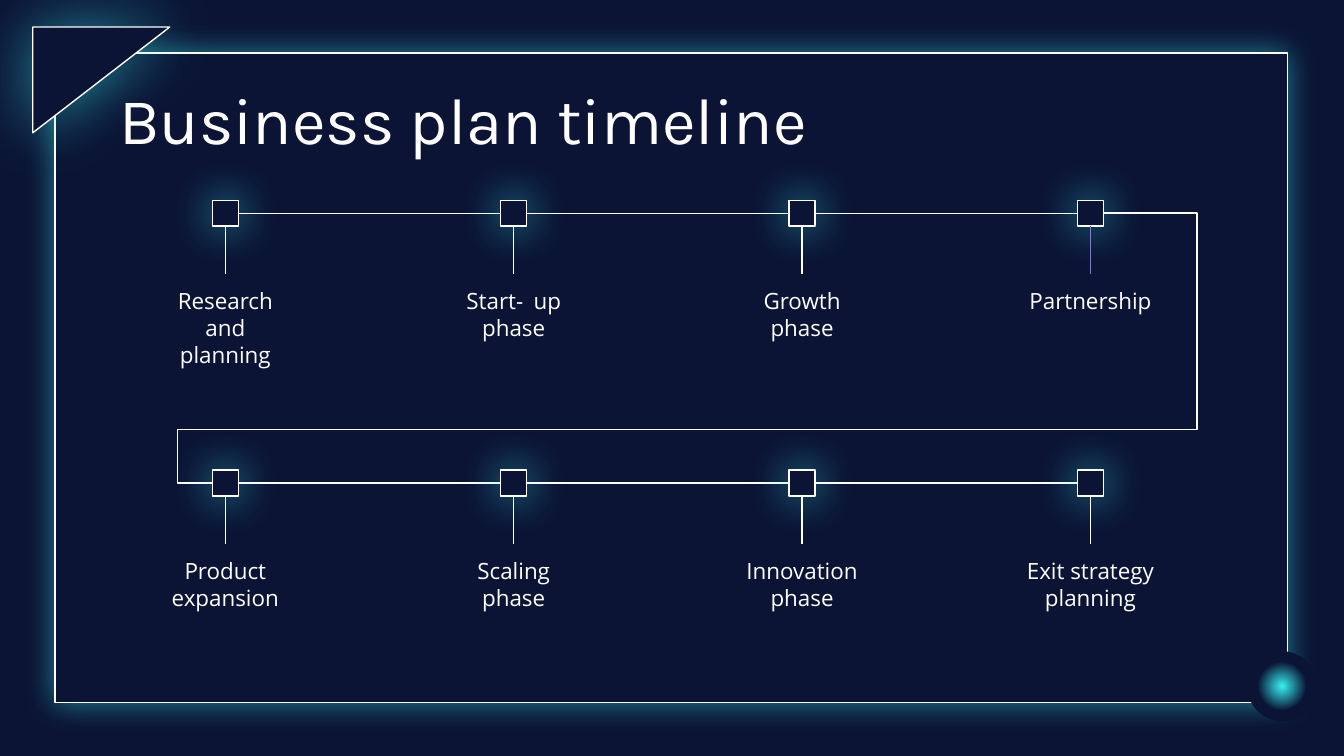
import pptx
import pptx.util
import pptx.dml.color
import pptx.enum.shapes
import pptx.enum.text
import pptx.oxml
import pptx.oxml.ns
from lxml import etree

Cm, Pt = pptx.util.Cm, pptx.util.Pt
RGBColor = pptx.dml.color.RGBColor
SHAPE = pptx.enum.shapes.MSO_SHAPE
CONNECTOR = pptx.enum.shapes.MSO_CONNECTOR
ALIGN = pptx.enum.text.PP_ALIGN
qn = pptx.oxml.ns.qn

NAVY = RGBColor(0x0B, 0x14, 0x35)
CYAN = RGBColor(0x38, 0xF1, 0xF3)
WHITE = RGBColor(0xFF, 0xFF, 0xFF)
LAVENDER = RGBColor(0x7F, 0x7F, 0xC0)

# Timeline grid, in centimetres
FIRST_X, STEP_X = 4.26, 5.45
NODE = 0.49
STEM = 0.9
LABEL_WIDTH, LABEL_HEIGHT = 3, 2.08
ROWS = [
    (4.03, ["Research and planning", "Start-\tup phase", "Growth phase", "Partnership"]),
    (9.13, ["Product expansion", "Scaling phase", "Innovation phase", "Exit strategy planning"]),
]


def add_glowing_shape(page, kind, left, top, width, height, opacity, blur):
    shape = page.shapes.add_shape(kind, Cm(left), Cm(top), Cm(width), Cm(height))
    shape.fill.solid()
    shape.fill.fore_color.rgb = NAVY
    shape.line.color.rgb = WHITE
    shape.line.width = Pt(0.75)
    shape.shadow.inherit = False
    effects = shape._element.spPr.find(qn("a:effectLst"))
    glow = etree.SubElement(effects, qn("a:outerShdw"), blurRad=str(Pt(blur)),
                            dist="0", dir="0", algn="ctr", rotWithShape="0")
    color = etree.SubElement(glow, qn("a:srgbClr"), val=str(CYAN))
    etree.SubElement(color, qn("a:alpha"), val=str(opacity * 1000))
    return shape


def add_light(page, left, top, size):
    light = page.shapes.add_shape(SHAPE.OVAL, Cm(left), Cm(top), Cm(size), Cm(size))
    light.line.fill.background()
    light.shadow.inherit = False
    stops = "".join(f'<a:gs pos="{place * 1000}"><a:srgbClr val="{color}"/></a:gs>'
                    for place, color in [(0, CYAN), (50, NAVY), (100, NAVY)])
    gradient = pptx.oxml.parse_xml(
        f'<a:gradFill {pptx.oxml.ns.nsdecls("a")}><a:gsLst>{stops}</a:gsLst>'
        '<a:path path="circle"><a:fillToRect l="50000" t="50000" r="50000" b="50000"/>'
        '</a:path></a:gradFill>')
    light._element.spPr.find(qn("a:prstGeom")).addnext(gradient)


def add_text(page, text, left, top, width, height, font, size, align):
    box = page.shapes.add_textbox(Cm(left), Cm(top), Cm(width), Cm(height))
    frame = box.text_frame
    frame.word_wrap = True
    frame.margin_left = frame.margin_right = Cm(0.25)
    frame.margin_top = frame.margin_bottom = Cm(0.25)
    para = frame.paragraphs[0]
    para.alignment = align
    span = para.add_run()
    span.text = text
    span.font.name = font
    span.font.size = Pt(size)
    span.font.color.rgb = WHITE


def add_line(page, x1, y1, x2, y2, color=WHITE, kind=CONNECTOR.STRAIGHT):
    line = page.shapes.add_connector(kind, Cm(x1), Cm(y1), Cm(x2), Cm(y2))
    line.line.color.rgb = color
    line.line.width = Pt(0.75)
    etree.SubElement(line._element.spPr, qn("a:effectLst"))
    return line


def add_row_link(page, x1, y1, x2, y2):
    link = add_line(page, x1, y1, x2, y2, kind=CONNECTOR.ELBOW)
    geometry = link._element.spPr.find(qn("a:prstGeom"))
    geometry.set("prst", "bentConnector5")
    guides = geometry.find(qn("a:avLst"))
    if guides is None:
        guides = etree.SubElement(geometry, qn("a:avLst"))
    for number, value in enumerate([-10500, 80200, 103900], start=1):
        etree.SubElement(guides, qn("a:gd"), name=f"adj{number}", fmla=f"val {value}")


def add_row(page, y, labels, last_stem_color):
    half = NODE / 2
    last = len(labels) - 1
    for column, label in enumerate(labels):
        x = FIRST_X + column * STEP_X
        stem_end = y + half + STEM
        add_glowing_shape(page, SHAPE.RECTANGLE, x - half, y - half, NODE, NODE, 73, 23.6)
        add_text(page, label, x - LABEL_WIDTH / 2, stem_end, LABEL_WIDTH, LABEL_HEIGHT,
                 "Open Sans", 12, ALIGN.CENTER)
        add_line(page, x, y + half, x, stem_end, last_stem_color if column == last else WHITE)
        if column < last:
            add_line(page, x + half, y, x + STEP_X - half, y)


def main():
    deck = pptx.Presentation()
    deck.slide_width, deck.slide_height = Cm(25.4), Cm(14.29)
    page = deck.slides.add_slide(deck.slide_layouts[6])
    page.background.fill.solid()
    page.background.fill.fore_color.rgb = NAVY

    # Frame with its corner ornaments
    add_glowing_shape(page, SHAPE.RECTANGLE, 1.04, 1, 23.3, 12.28, 50, 15.8)
    corner = add_glowing_shape(page, SHAPE.RIGHT_TRIANGLE, 0.62, 0.51, 2.59, 2, 53, 34.9)
    corner.rotation = 180
    corner._element.spPr.find(qn("a:xfrm")).set("flipH", "1")
    add_light(page, 23.57, 12.31, 1.32)

    # Title
    add_text(page, "Business plan timeline", 2, 1.25, 21.4, 1.6, "Karla", 35, ALIGN.LEFT)

    # Two timeline rows and the link between them
    for (y, labels), stem_color in zip(ROWS, [LAVENDER, WHITE]):
        add_row(page, y, labels, stem_color)
    last_x = FIRST_X + 3 * STEP_X
    add_row_link(page, last_x + NODE / 2, ROWS[0][0], FIRST_X - NODE / 2, ROWS[1][0])

    deck.save("out.pptx")


if __name__ == "__main__":
    main()
